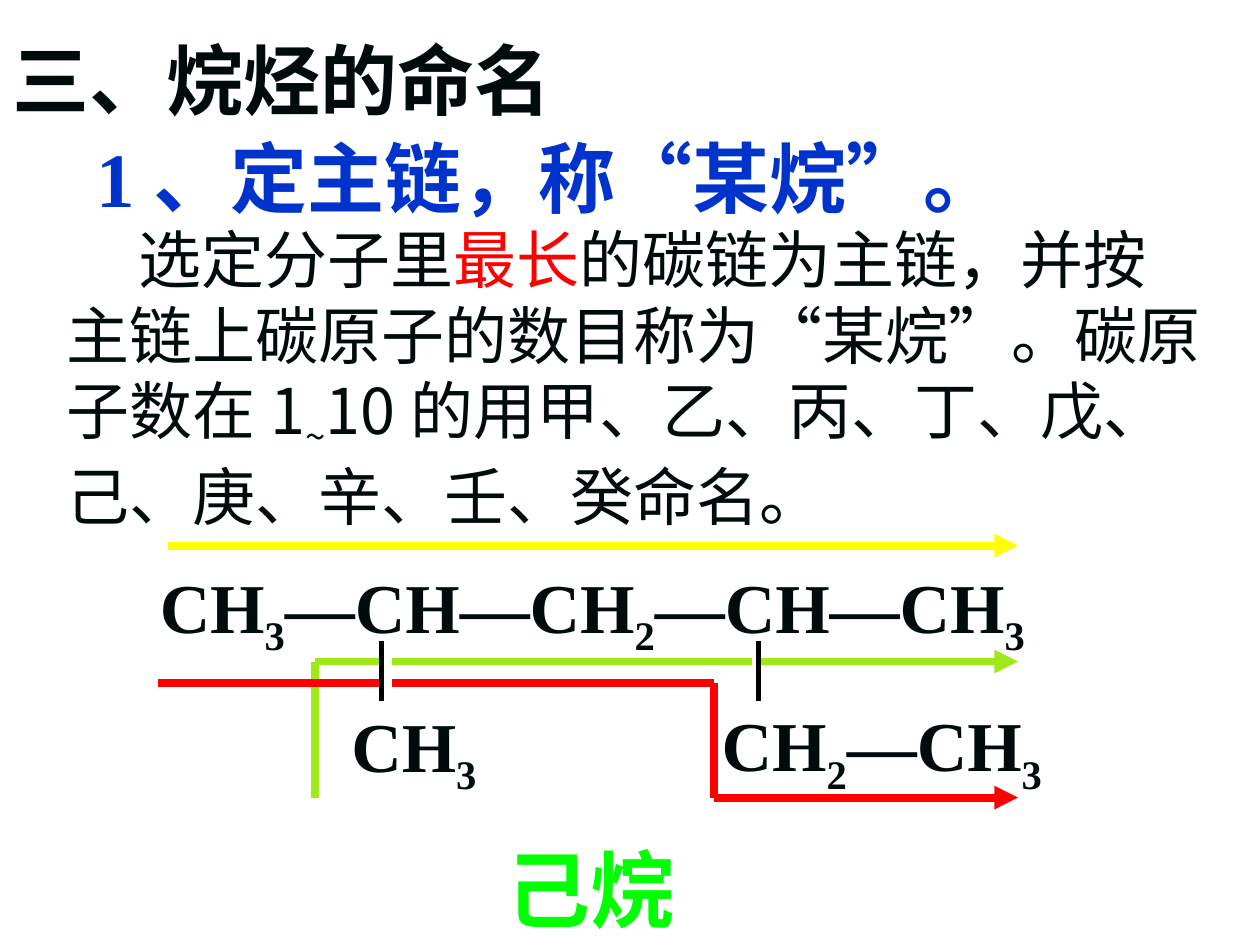
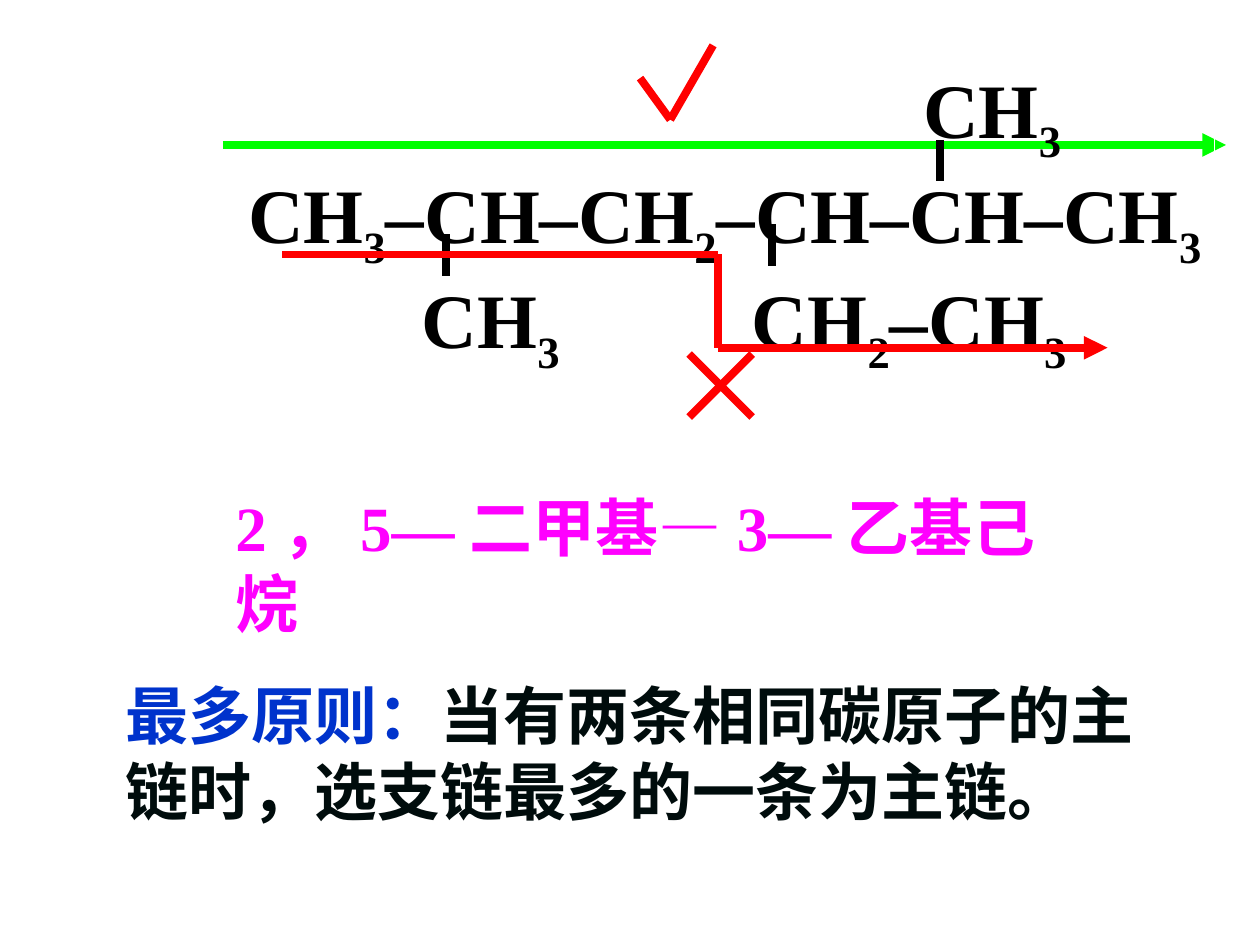
from dataclasses import dataclass
from itertools import groupby, pairwise

from lxml.etree import SubElement
from pptx import Presentation
from pptx.dml.color import RGBColor
from pptx.enum.shapes import MSO_CONNECTOR
from pptx.enum.text import MSO_ANCHOR, MSO_AUTO_SIZE, PP_ALIGN
from pptx.oxml.ns import qn
from pptx.util import Inches, Pt


@dataclass(frozen=True)
class Theme:
    ink: str = "000C0C"
    black: str = "000000"
    white: str = "FFFFFF"
    blue: str = "0033CC"
    red: str = "FF0000"
    yellow: str = "FFFF00"
    lime: str = "9EE917"
    green: str = "00FF00"
    magenta: str = "FF00FF"
    serif: str = "Times New Roman"
    sans: str = "Arial"
    chinese: str = "Noto Sans CJK SC"
    body_size: int = 36
    formula_size: int = 40
    heading_size: int = 44
    answer_size: int = 48
    chain_width: float = 4.5
    bond_width: float = 2.75


THEME = Theme()


# Text
def write(box, lines, size, color=THEME.ink, font=THEME.serif, bold=True,
          lowered="", offsets=(), indent=0, before=0, right=0.1):
    """Fill box; a line is text or (text, color) pairs, lowered characters sit below.

    Offsets give the left margin of each line.
    """
    frame = box.text_frame
    frame.word_wrap = True
    frame.auto_size = MSO_AUTO_SIZE.NONE
    frame.vertical_anchor = MSO_ANCHOR.TOP
    frame.margin_left, frame.margin_right = Inches(0.1), Inches(right)
    frame.margin_top = frame.margin_bottom = Inches(0.05)
    for number, line in enumerate(lines):
        para = frame.add_paragraph() if number else frame.paragraphs[0]
        para.alignment = PP_ALIGN.LEFT
        para.line_spacing = 1.0
        para.space_before = Pt(before if number else 0)
        properties = para._p.get_or_add_pPr()
        properties.set("marL", str(Inches(offsets[number] if offsets else 0)))
        properties.set("indent", str(Inches(indent)))
        pieces = [(line, color)] if isinstance(line, str) else line
        for text, tint in pieces:
            for is_low, letters in groupby(text, lambda letter: letter in lowered):
                span = para.add_run()
                span.text = "".join(letters)
                style = span.font
                style.size, style.bold, style.name = Pt(size), bold, font
                style.color.rgb = RGBColor.from_string(tint)
                SubElement(style._element, qn("a:ea"), typeface=THEME.chinese)
                if is_low:
                    style._element.set("baseline", "-25000")
    return box


def add_text(page, area, lines, size, **look):
    box = page.shapes.add_textbox(*map(Inches, area))
    return write(box, lines, size, **look)


# Lines
def draw_path(page, points, color, width=THEME.chain_width, arrow=False):
    """Join the points with straight lines, with an arrowhead at the end if asked."""
    for start, end in pairwise(points):
        line = page.shapes.add_connector(
            MSO_CONNECTOR.STRAIGHT, *map(Inches, (*start, *end)))
        line.line.color.rgb = RGBColor.from_string(color)
        line.line.width = Pt(width)
        SubElement(line._element.spPr, qn("a:effectLst"))
    if arrow:
        SubElement(line.line._get_or_add_ln(), qn("a:tailEnd"), type="triangle")


def draw_bond(page, left, top, length, color=THEME.black, width=THEME.chain_width):
    draw_path(page, [(left, top), (left, top + length)], color, width)


# Slide 1: regions
def add_headings(page):
    title = page.shapes.title
    title.left, title.top, title.width, title.height = map(Inches, (0, 0.21, 5.51, 0.84))
    write(title, ["三、烷烃的命名"], THEME.heading_size, font=THEME.sans)
    add_text(page, (0.67, 0.99, 7.95, 0.84), ["1、定主链，称“某烷”。"],
             THEME.heading_size, color=THEME.blue)


def add_rule(page, area):
    rule = [
        ("选定分子里", THEME.ink),
        ("最长", THEME.red),
        ("的碳链为主链，并按主链上碳原子的数目称为“某烷”。碳原子数在1~10的用"
         "甲、乙、丙、丁、戊、己、庚、辛、壬、癸命名。", THEME.ink),
    ]
    add_text(page, area, [rule], THEME.body_size, font=THEME.chinese, bold=False,
             lowered="~", indent=0.57, right=0.07)


def add_chain_choices(page):
    right, upper, lower = 8.08, 5.25, 6.33
    draw_path(page, [(1.33, 4.33), (right, 4.33)], THEME.yellow, arrow=True)
    draw_path(page, [(2.5, lower), (2.5, upper), (right, upper)], THEME.lime, arrow=True)
    draw_path(page, [(1.25, 5.42), (5.67, 5.42), (5.67, lower), (right, lower)],
              THEME.red, arrow=True)


def add_hexane_formula(page, left, top):
    add_text(page, (left, top, 8.33, 1.97), ["CH3—CH—CH2—CH—CH3", "CH3"],
             THEME.formula_size, lowered="23", offsets=(0, 1.52), before=25)
    add_text(page, (left + 4.46, top + 1.1, 3, 0.87), ["CH2—CH3"],
             THEME.formula_size, lowered="23")
    # White gaps keep the bonds clear of the coloured chains
    for gap in (1.91, 4.83):
        draw_bond(page, left + gap, top + 0.66, 0.5, THEME.white)
    for bond in (1.86, 4.85):
        draw_bond(page, left + bond, top + 0.67, 0.47, width=THEME.bond_width)


def build_main_chain_slide(deck):
    page = deck.slides.add_slide(deck.slide_layouts[5])
    add_headings(page)
    add_rule(page, (0.43, 1.7, 9.21, 2.59))
    add_chain_choices(page)
    add_text(page, (3.92, 6.6, 1.92, 0.9), ["己烷"], THEME.answer_size,
             color=THEME.green)
    add_hexane_formula(page, 1.17, 4.42)


# Slide 2: regions
def add_branched_formula(page, left, top):
    look = {"color": THEME.black, "lowered": "23", "right": 0}
    box = add_text(page, (left, top, 8.22, 2.61),
                   ["CH3", "CH3–CH–CH2–CH–CH–CH3", "CH3"],
                   THEME.heading_size, offsets=(5.81, 0.45, 1.83), **look)
    box.line.color.rgb = RGBColor.from_string(THEME.white)
    box.line.width = Pt(0.75)
    add_text(page, (left + 4.45, top + 1.67, 3, 0.94), ["CH2–CH3"],
             THEME.heading_size, **look)
    for across, down in ((6.04, 0.67), (2.12, 1.42), (4.71, 1.34)):
        draw_bond(page, left + across, top + down, 0.33)


def add_tick(page, left, top):
    draw_path(page, [(left, top + 0.26), (left + 0.24, top + 0.59), (left + 0.58, top)],
              THEME.red)


def add_cross(page, left, top, side):
    right, bottom = left + side, top + side
    draw_path(page, [(left, top), (right, bottom)], THEME.red)
    draw_path(page, [(left, bottom), (right, top)], THEME.red)


def build_most_branches_slide(deck):
    page = deck.slides.add_slide(deck.slide_layouts[6])
    draw_path(page, [(1.77, 1.15), (9.73, 1.15)], THEME.green, arrow=True)
    principle = [("最多原则：", THEME.blue),
                 ("当有两条相同碳原子的主链时，选支链最多的一条为主链。", THEME.ink)]
    add_text(page, (0.9, 5.32, 8.58, 1.3), [principle], THEME.body_size)
    add_branched_formula(page, 1.42, 0.44)
    draw_path(page, [(2.24, 2.02), (5.7, 2.02), (5.7, 2.76), (8.79, 2.76)],
              THEME.red, arrow=True)
    add_tick(page, 5.08, 0.36)
    add_cross(page, 5.47, 2.81, 0.5)
    add_text(page, (1.77, 3.83, 6.75, 1.3), ["2，5—二甲基—3—乙基己烷"],
             THEME.body_size, color=THEME.magenta)


def main():
    deck = Presentation()
    deck.slide_width, deck.slide_height = Inches(10), Inches(7.5)
    build_main_chain_slide(deck)
    build_most_branches_slide(deck)
    deck.save("out.pptx")


if __name__ == "__main__":
    main()
